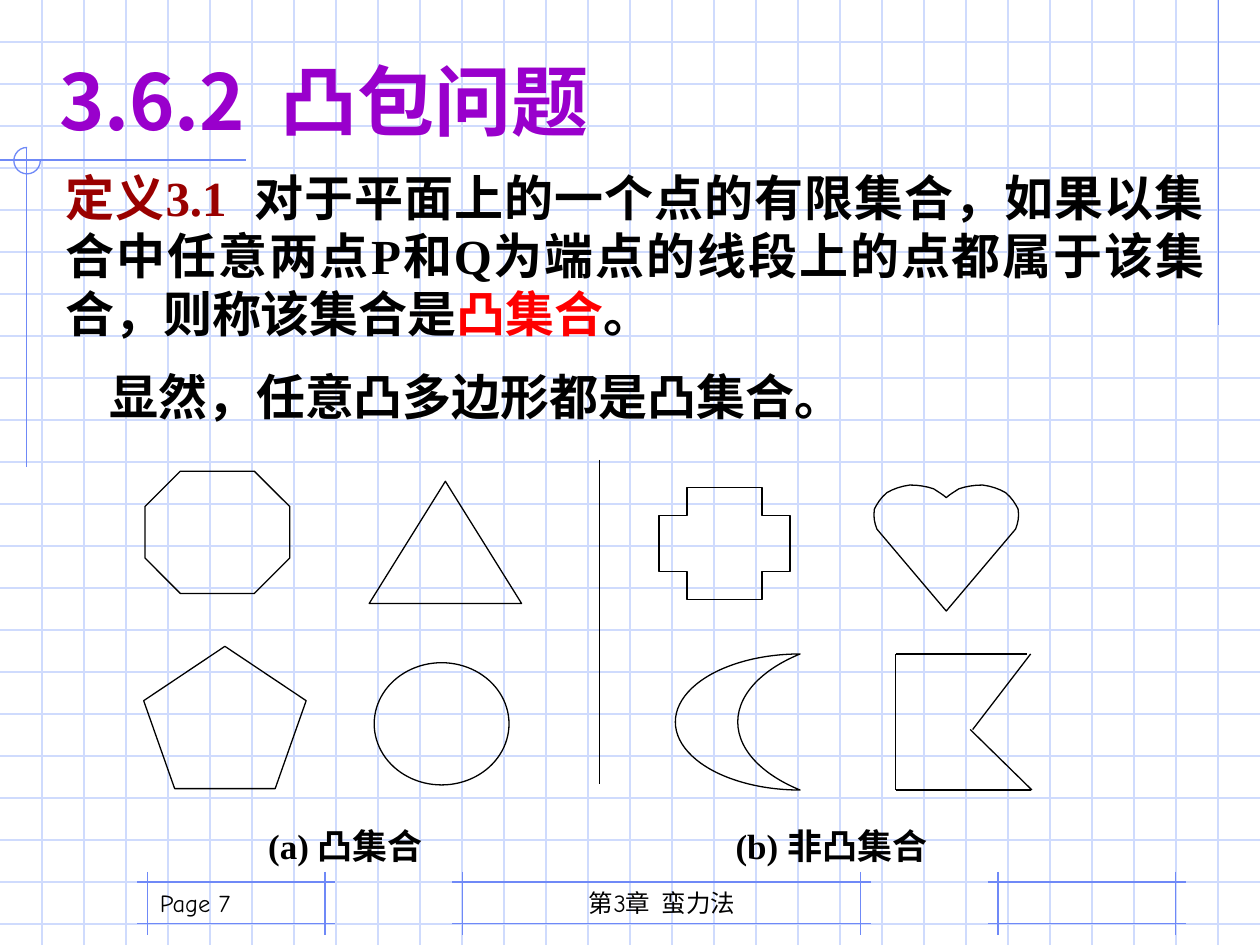
from lxml import etree
from pptx import Presentation, util as u
from pptx.dml.color import RGBColor
from pptx.enum import shapes, text
from pptx.oxml import ns

COLORS = {"grid": "CFDBFD", "frame": "6F89F7", "ink": "000000",
          "title": "9900CC", "term": "990000", "key": "FF0000"}
CJK = "Noto Sans CJK SC"
SERIF = "Times New Roman"
HAND = "Comic Neue"
I = u.Inches

deck = Presentation()
deck.slide_width, deck.slide_height = I(10), I(7.5)
page = deck.slides.add_slide(deck.slide_layouts[6])


def add_line(x1, y1, x2, y2, color="ink"):
    line = page.shapes.add_connector(shapes.MSO_CONNECTOR.STRAIGHT,
                                     I(x1), I(y1), I(x2), I(y2))
    line.line.color.rgb = RGBColor.from_string(COLORS[color])
    line.line.width = u.Pt(0.75)
    etree.SubElement(line._element.spPr, ns.qn("a:effectLst"))


def add_text(area, paragraphs, size, font, bold=True, align="LEFT", anchor="TOP",
             inset=0.05, spacing=None, gap=0, indents=(), tab=None):
    """Each paragraph is a list of (words, colour) spans."""
    box = page.shapes.add_textbox(*map(I, area))
    frame = box.text_frame
    frame.word_wrap = True
    frame.vertical_anchor = getattr(text.MSO_ANCHOR, anchor)
    frame.margin_top = frame.margin_bottom = I(inset)
    for i, spans in enumerate(paragraphs):
        para = frame.add_paragraph() if i else frame.paragraphs[0]
        properties = para._p.get_or_add_pPr()
        if tab:
            stops = etree.SubElement(properties, ns.qn("a:tabLst"))
            etree.SubElement(stops, ns.qn("a:tab"), pos=str(I(tab)), algn="l")
        if i < len(indents):
            properties.set("indent", str(I(indents[i])))
        para.alignment = getattr(text.PP_ALIGN, align if i == 0 else "LEFT")
        para.space_before = u.Pt(gap if i else 0)
        para.space_after = u.Pt(gap)
        if spacing:
            para.line_spacing = u.Pt(spacing)
        for words, color in spans:
            span = para.add_run()
            span.text = words
            span.font.size = u.Pt(size)
            span.font.bold = bold
            span.font.name = font
            span.font.color.rgb = RGBColor.from_string(COLORS[color])
            etree.SubElement(span._r.rPr, ns.qn("a:ea"), typeface=CJK)


# Squared paper
for n in range(1, 23):
    add_line(0, n / 3, 10, n / 3, "grid")
for n in range(1, 30):
    add_line(n / 3, 0, n / 3, 7.5, "grid")

# Footer frames, whose lines cross at the corners
for left, right in [(3.67, 6.83), (7.92, 9.33), (1.17, 2.58)]:
    for y in (7, 7.33):
        add_line(left - 0.08, y, right + 0.08, y, "frame")
    for x in (left, right):
        add_line(x, 6.92, x, 7.42, "frame")

# Corner rules
add_line(9.67, 0, 9.67, 2.58, "frame")
add_line(1.95, 1.27, 0, 1.27, "frame")
add_line(0.21, 1.17, 0.21, 3.71, "frame")

# Outlined figures
KIND = shapes.MSO_SHAPE
figures = [
    (KIND.ARC, (0.11, 1.17, 0.21, 0.21), (0, 162), "frame"),
    (KIND.OCTAGON, (1.15, 3.74, 1.15, 0.97), (0.29,), "ink"),
    (KIND.ISOSCELES_TRIANGLE, (2.93, 3.82, 1.21, 0.97), (), "ink"),
    (KIND.REGULAR_PENTAGON, (1.14, 5.13, 1.29, 1.13), (), "ink"),
    (KIND.OVAL, (2.97, 5.26, 1.07, 0.97), (), "ink"),
    (KIND.CROSS, (5.23, 3.87, 1.04, 0.89), (0.25,), "ink"),
    (KIND.MOON, (5.36, 5.19, 0.99, 1.08), (0.5,), "ink"),
]
outlines = []
for kind, area, adjustments, color in figures:
    figure = page.shapes.add_shape(kind, *map(I, area))
    for i, value in enumerate(adjustments):
        figure.adjustments[i] = value
    outlines.append((figure, color))

# Heart: the left lobe from notch to tip, then its mirror image
notch = (7.51, 3.95)
curves = [
    ((7.49, 3.93), (7.44, 3.9), (7.41, 3.88)),
    ((7.35, 3.86), (7.29, 3.85), (7.22, 3.85)),
    ((7.15, 3.86), (7.09, 3.88), (7.04, 3.91)),
    ((6.99, 3.95), (6.96, 4), (6.94, 4.04)),
    ((6.93, 4.1), (6.94, 4.15), (6.96, 4.2)),
]
lobe = [notch]
for b, c, d in curves:
    a = lobe[-1]
    for t in (0.25, 0.5, 0.75, 1):
        s = 1 - t
        lobe.append(tuple(s**3 * a[k] + 3 * s * s * t * b[k] + 3 * s * t * t * c[k] + t**3 * d[k]
                          for k in (0, 1)))
mirror = [(2 * notch[0] - x, y) for x, y in reversed(lobe[1:])]
points = [(I(x), I(y)) for x, y in lobe + [(7.51, 4.85)] + mirror]
builder = page.shapes.build_freeform(*points[0])
builder.add_line_segments(points[1:], close=True)
outlines.append((builder.convert_to_shape(), "ink"))

for figure, color in outlines:
    figure.shadow.inherit = False
    figure.fill.background()
    figure.line.color.rgb = RGBColor.from_string(COLORS[color])
    figure.line.width = u.Pt(0.75)

# Divider and the notched square
for ends in [(4.76, 3.65, 4.76, 6.22), (7.11, 5.19, 8.15, 5.19), (8.18, 5.19, 7.72, 5.79),
             (7.7, 5.79, 8.19, 6.27), (8.18, 6.27, 7.11, 6.27), (7.11, 5.19, 7.11, 6.27)]:
    add_line(*ends)

# Wording
add_text((3.67, 6.83, 3.17, 0.5), [[("第3章  蛮力法", "ink")]], 14, HAND,
         bold=False, align="CENTER", anchor="BOTTOM")
add_text((1.17, 6.83, 2.08, 0.5), [[("Page 7", "ink")]], 14, HAND,
         bold=False, anchor="BOTTOM")
add_text((0.37, 0.37, 8.49, 0.84), [[("3.6.2  凸包问题", "title")]], 44, CJK, spacing=53)
definition = [
    ("定义3.1  ", "term"),
    ("对于平面上的一个点的有限集合，如果以集合中任意两点P和Q为端点的线段上的点都属于该集合，则称该集合是", "ink"),
    ("凸集合", "key"),
    ("。", "ink"),
]
add_text((0.42, 1.28, 9.24, 2.16), [definition, [("显然，任意凸多边形都是凸集合。", "ink")]],
         28, SERIF, align="JUSTIFY", spacing=33.4, gap=7, indents=(0, 0.35))
add_text((2.03, 6.54, 5.94, 0.41), [[("(a) 凸集合\t(b) 非凸集合", "ink")]], 20, SERIF,
         inset=0, spacing=24, tab=3.71)

deck.save("out.pptx")
